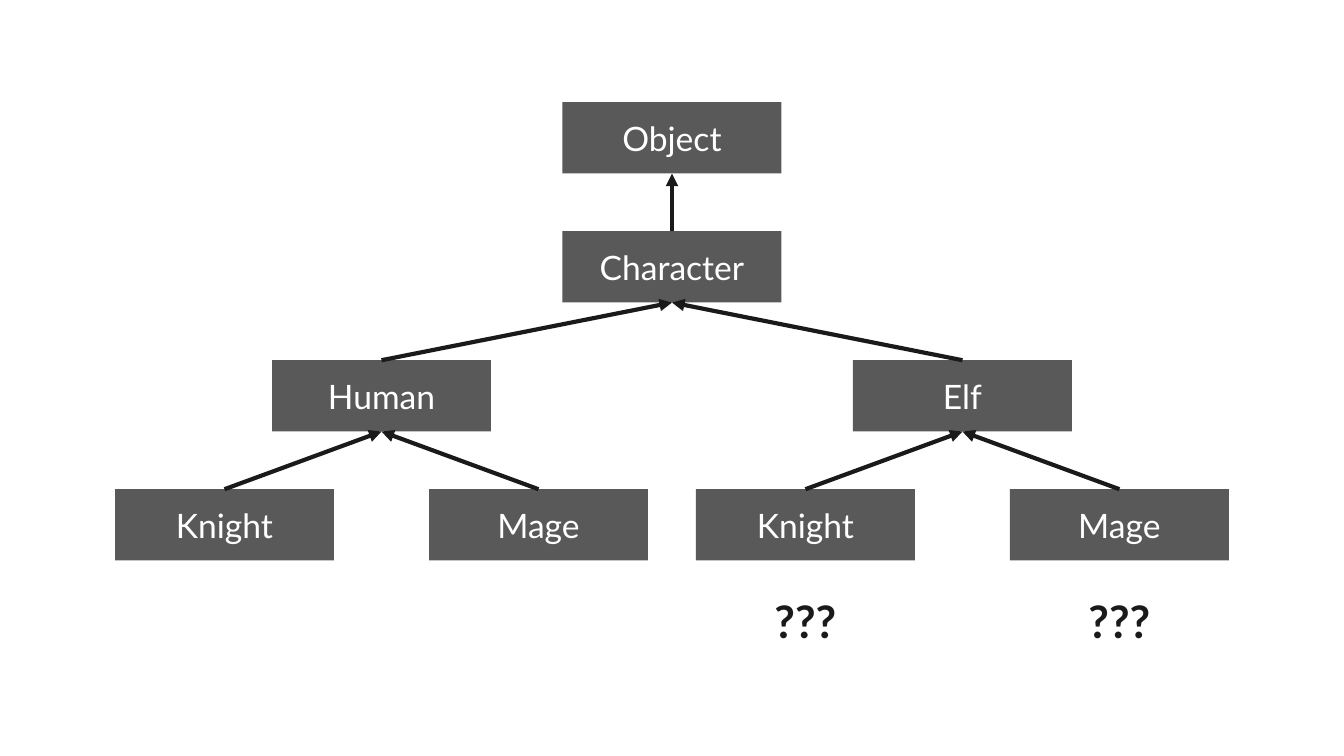
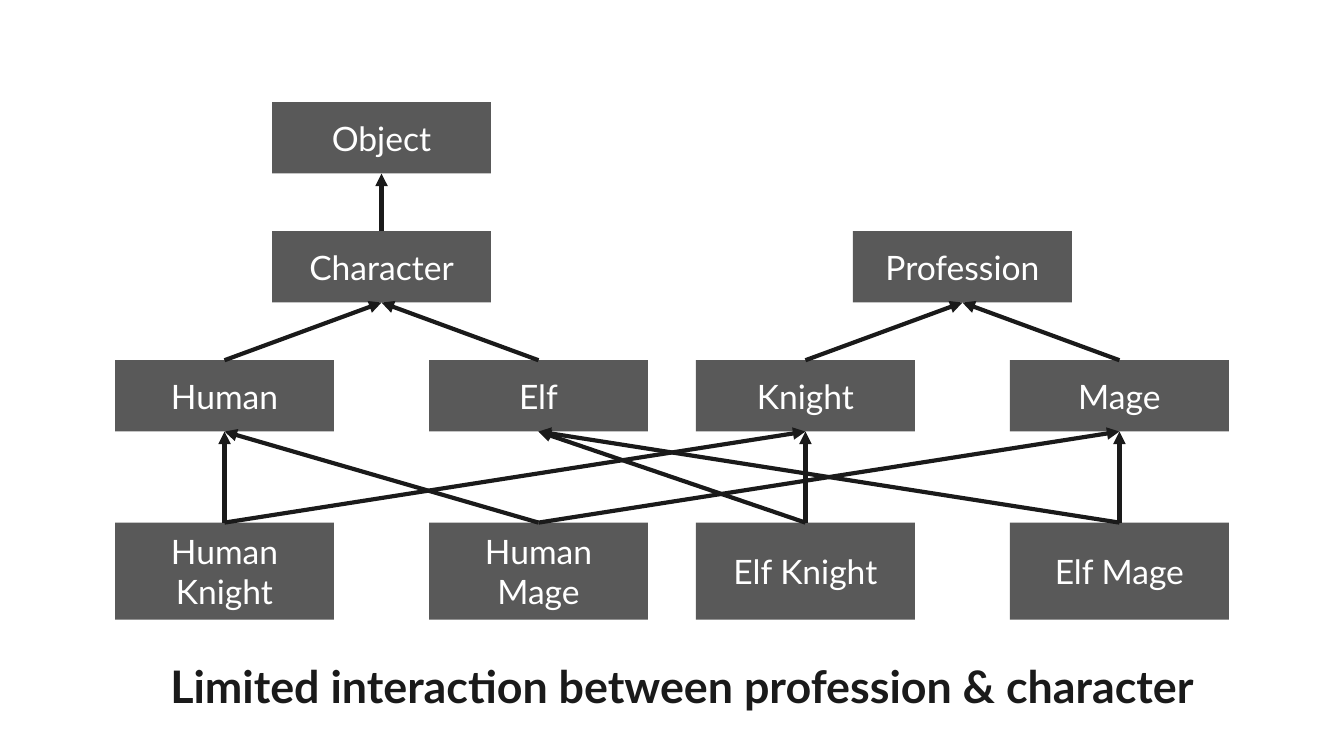
from dataclasses import dataclass

from lxml import etree
from pptx import Presentation
from pptx.dml.color import RGBColor
from pptx.enum.shapes import MSO_CONNECTOR, MSO_SHAPE
from pptx.enum.text import MSO_ANCHOR, PP_ALIGN
from pptx.oxml.ns import qn
from pptx.util import Pt

RECT = MSO_SHAPE.RECTANGLE
STRAIGHT = MSO_CONNECTOR.STRAIGHT
CENTER = PP_ALIGN.CENTER
TOP = MSO_ANCHOR.TOP
MIDDLE = MSO_ANCHOR.MIDDLE
TOP_SITE, BOTTOM_SITE = 0, 2

INK, BOX_FILL, WHITE = "1A1A1A", "595959", "FFFFFF"
BOX_FONT = {"name": "Lato", "size": Pt(18), "bold": False}
NOTE_FONT = {"name": "Lato", "size": Pt(24), "bold": True}

SLIDE_W, SLIDE_H = 720, 405
BOX_W, BOX_H, TALL_H = 117.3, 38.2, 52
CENTRE = SLIDE_W / 2
INNER, COL_STEP = 71.5, 84.1
LEFT = [CENTRE - INNER - COL_STEP * i for i in (2, 1, 0)]
RIGHT = [CENTRE + INNER + COL_STEP * i for i in range(3)]
ROWS = [54.8 + 69.1 * i for i in range(4)]
MIXED_ROW = 280


@dataclass(frozen=True)
class Box:
    key: str
    label: str
    x: float
    top: float
    parents: tuple[str, ...] = ()
    height: float = BOX_H


@dataclass(frozen=True)
class Note:
    text: str
    x: float
    top: float
    width: float
    height: float


SINGLE_TREE = [
    Box("object", "Object", CENTRE, ROWS[0]),
    Box("character", "Character", CENTRE, ROWS[1], ("object",)),
    Box("human", "Human", LEFT[1], ROWS[2], ("character",)),
    Box("elf", "Elf", RIGHT[1], ROWS[2], ("character",)),
    Box("human knight", "Knight", LEFT[0], ROWS[3], ("human",)),
    Box("human mage", "Mage", LEFT[2], ROWS[3], ("human",)),
    Box("elf knight", "Knight", RIGHT[0], ROWS[3], ("elf",)),
    Box("elf mage", "Mage", RIGHT[2], ROWS[3], ("elf",)),
]
DOUBTS = [Note("???", x, 311, 50.4, 38.2) for x in (RIGHT[0], RIGHT[2])]

TWO_TREES = [
    Box("object", "Object", LEFT[1], ROWS[0]),
    Box("character", "Character", LEFT[1], ROWS[1], ("object",)),
    Box("profession", "Profession", RIGHT[1], ROWS[1]),
    Box("human", "Human", LEFT[0], ROWS[2], ("character",)),
    Box("elf", "Elf", LEFT[2], ROWS[2], ("character",)),
    Box("knight", "Knight", RIGHT[0], ROWS[2], ("profession",)),
    Box("mage", "Mage", RIGHT[2], ROWS[2], ("profession",)),
] + [
    Box(label, label, x, MIXED_ROW, tuple(label.lower().split()), TALL_H)
    for label, x in zip(
        ("Human Knight", "Human Mage", "Elf Knight", "Elf Mage"),
        (LEFT[0], LEFT[2], RIGHT[0], RIGHT[2]),
    )
]
CONCLUSION = [
    Note("Limited interaction between profession & character", 365.4, 345.6, 624.2, 45.4)
]


def rgb(value: str) -> RGBColor:
    return RGBColor.from_string(value)


def write(sp, text: str, font: dict, color: str, anchor) -> None:
    tf = sp.text_frame
    tf.word_wrap = True
    tf.vertical_anchor = anchor
    for side in ("left", "top", "right", "bottom"):
        setattr(tf, f"margin_{side}", Pt(7.2))
    p = tf.paragraphs[0]
    p.alignment = CENTER
    r = p.add_run()
    r.text = text
    for name, value in font.items():
        setattr(r.font, name, value)
    r.font.color.rgb = rgb(color)


def draw_box(s, box: Box):
    sp = s.shapes.add_shape(
        RECT, Pt(box.x - BOX_W / 2), Pt(box.top), Pt(BOX_W), Pt(box.height)
    )
    sp.shadow.inherit = False
    sp.fill.solid()
    sp.fill.fore_color.rgb = rgb(BOX_FILL)
    sp.line.fill.background()
    write(sp, box.label, BOX_FONT, WHITE, MIDDLE)
    return sp


def draw_arrow(s, child, parent) -> None:
    line = s.shapes.add_connector(STRAIGHT, 0, 0, 0, 0)
    line.begin_connect(child, TOP_SITE)
    line.end_connect(parent, BOTTOM_SITE)
    line.line.color.rgb = rgb(INK)
    line.line.width = Pt(2.25)
    sp_pr = line._element.spPr
    etree.SubElement(sp_pr.find(qn("a:ln")), qn("a:tailEnd"), type="triangle")
    etree.SubElement(sp_pr, qn("a:effectLst"))


def draw_note(s, note: Note) -> None:
    sp = s.shapes.add_textbox(
        Pt(note.x - note.width / 2), Pt(note.top), Pt(note.width), Pt(note.height)
    )
    write(sp, note.text, NOTE_FONT, INK, TOP)


def draw_slide(prs, boxes: list[Box], notes: list[Note]) -> None:
    s = prs.slides.add_slide(prs.slide_layouts.get_by_name("Blank"))
    shapes = {box.key: draw_box(s, box) for box in boxes}
    for box in boxes:
        for parent in box.parents:
            draw_arrow(s, shapes[box.key], shapes[parent])
    for note in notes:
        draw_note(s, note)


def main() -> None:
    prs = Presentation()
    prs.slide_width, prs.slide_height = Pt(SLIDE_W), Pt(SLIDE_H)
    draw_slide(prs, SINGLE_TREE, DOUBTS)
    draw_slide(prs, TWO_TREES, CONCLUSION)
    prs.save("out.pptx")


if __name__ == "__main__":
    main()
